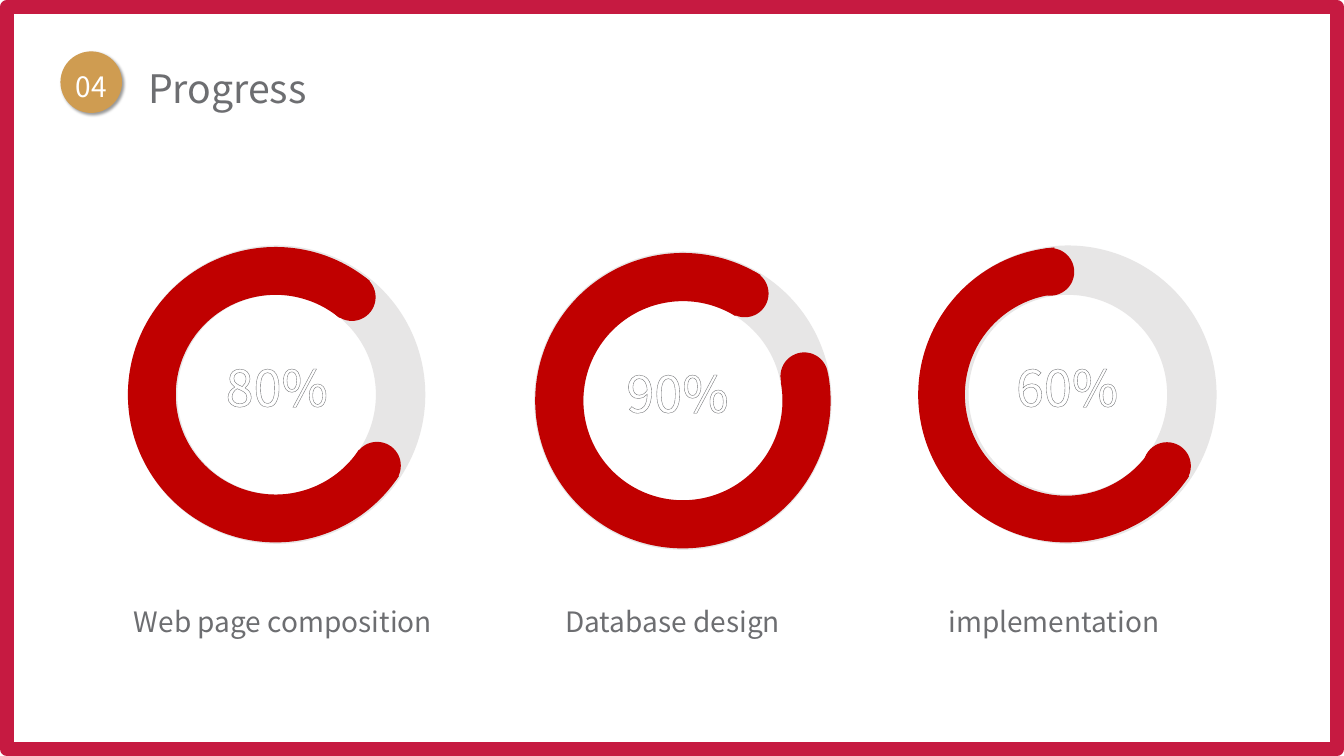
from dataclasses import dataclass
from math import cos, radians, sin

from lxml.etree import SubElement
from pptx import Presentation
from pptx.dml.color import RGBColor
from pptx.enum.shapes import MSO_SHAPE as Preset
from pptx.enum.text import MSO_ANCHOR as Anchor, MSO_AUTO_SIZE as AutoSize, PP_ALIGN as Align
from pptx.oxml import parse_xml
from pptx.oxml.ns import nsdecls, qn
from pptx.util import Pt

CRIMSON = RGBColor(0xC6, 0x1A, 0x41)
RED = RGBColor(0xC0, 0x00, 0x00)
PALE = RGBColor(0xE7, 0xE6, 0xE6)
GOLD = RGBColor(0xCF, 0x9C, 0x51)
GREY = RGBColor(0x6D, 0x6E, 0x71)
WHITE = RGBColor(0xFF, 0xFF, 0xFF)
FONT = "Noto Sans CJK KR"
ARC_SIZE = 211
CAP_SIZE = 34
CAP_RADIUS = 88.4


@dataclass
class Gauge:
    percent: str
    caption: str
    center: tuple
    ring_shift: float
    percent_shift: float
    caption_box: tuple
    rotation: float
    arc: tuple
    cap_angles: tuple


GAUGES = [
    Gauge("80%", "Web page composition", (196.9, 281.9), 0.7, 4.7, (88.6, 258.5),
          313.4, (48.06, 213.78, 0.162), (35, -52)),
    Gauge("90%", "Database design", (487.8, 286.2), 0, 0, (396.7, 193),
          169.4, (108, 79.38, 0.163), (-11.4, -60)),
    Gauge("60%", "implementation", (761.4, 281.9), 1.4, 4.7, (670.3, 185.8),
          313.4, (48.06, 187.27, 0.158), (35.2, 262.8)),
]


def points(box):
    return [Pt(length) for length in box]


def write(frame, text, size=20, color=GREY, align=Align.LEFT, anchor=Anchor.TOP,
          wrap=False, outline=None):
    frame.word_wrap = wrap
    frame.auto_size = AutoSize.SHAPE_TO_FIT_TEXT
    frame.vertical_anchor = anchor
    para = frame.paragraphs[0]
    para.alignment = align
    span = para.add_run()
    span.text = text
    span.font.size = Pt(size)
    span.font.name = FONT
    span.font.color.rgb = color
    properties = span.font._element
    SubElement(properties, qn("a:ea")).set("typeface", FONT)
    if outline is not None:
        properties.insert(0, parse_xml(
            f'<a:ln {nsdecls("a")} w="9525"><a:solidFill>'
            f'<a:srgbClr val="{outline}"/></a:solidFill></a:ln>'))


def add_text(page, box, text, **style):
    write(page.shapes.add_textbox(*points(box)).text_frame, text, **style)


def add_filled(page, preset, box, color, adjustments=(), rotation=0):
    shape = page.shapes.add_shape(preset, *points(box))
    shape.shadow.inherit = False
    shape.fill.solid()
    shape.fill.fore_color.rgb = color
    shape.line.fill.background()
    for index, value in enumerate(adjustments):
        shape.adjustments[index] = value
    shape.rotation = rotation
    return shape


def add_frame(page, box):
    frame = page.shapes.add_shape(Preset.RECTANGLE, *points(box))
    frame.shadow.inherit = False
    frame.fill.background()
    frame.line.color.rgb = CRIMSON
    frame.line.width = Pt(10)


def add_header(page, box):
    left, top, width, height = box
    title = page.shapes.title
    title.left, title.top, title.width, title.height = points(
        (left + 55.4, top + 5.8, width - 55.4, height - 3))
    write(title.text_frame, "Progress", size=28, anchor=Anchor.MIDDLE, wrap=True)
    badge = add_filled(page, Preset.OVAL, (left, top, height, height), GOLD)
    effects = badge._element.spPr.find(qn("a:effectLst"))
    effects.append(parse_xml(
        f'<a:outerShdw {nsdecls("a")} blurRad="25400" dist="25400" dir="2700000" '
        'algn="tl" rotWithShape="0"><a:srgbClr val="000000">'
        '<a:alpha val="40000"/></a:srgbClr></a:outerShdw>'))
    add_text(page, (left + 0.7, top + 9.4, 42.5, 31.7), "04", color=WHITE,
             align=Align.CENTER, anchor=Anchor.MIDDLE, wrap=True)


def add_gauge(page, gauge):
    x, y = gauge.center

    def centered(width, height, across=0, down=0):
        return x + across - width / 2, y + down - height / 2, width, height

    add_filled(page, Preset.DONUT, centered(212.4, 213.1, gauge.ring_shift), PALE, [0.166])
    for angle in map(radians, gauge.cap_angles):
        add_filled(page, Preset.OVAL, centered(
            CAP_SIZE, CAP_SIZE, CAP_RADIUS * cos(angle), CAP_RADIUS * sin(angle)), RED)
    add_filled(page, Preset.BLOCK_ARC, centered(ARC_SIZE, ARC_SIZE), RED,
               gauge.arc, gauge.rotation)
    add_text(page, centered(95, 51, gauge.percent_shift, -5.5), gauge.percent,
             size=36, color=WHITE, outline=GREY)
    left, width = gauge.caption_box
    add_text(page, (left, 428.4, width, 31.7), gauge.caption)


def main():
    deck = Presentation()
    deck.slide_width, deck.slide_height = Pt(960), Pt(540)
    page = deck.slides.add_slide(deck.slide_layouts[5])
    add_frame(page, (5, 5, 950, 530))
    add_header(page, (43.2, 36.7, 294.5, 44))
    for gauge in GAUGES:
        add_gauge(page, gauge)
    deck.save("out.pptx")


if __name__ == "__main__":
    main()
